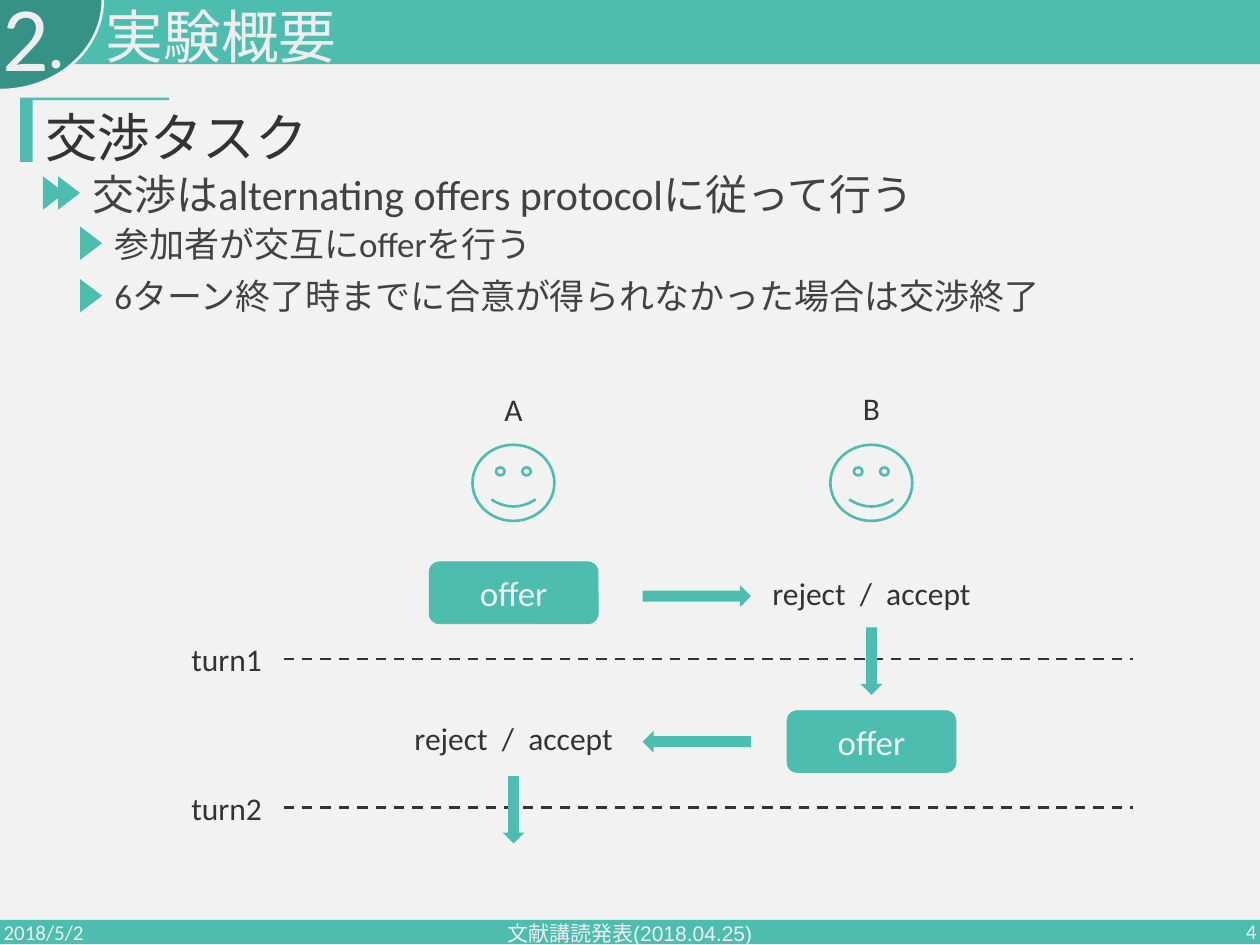
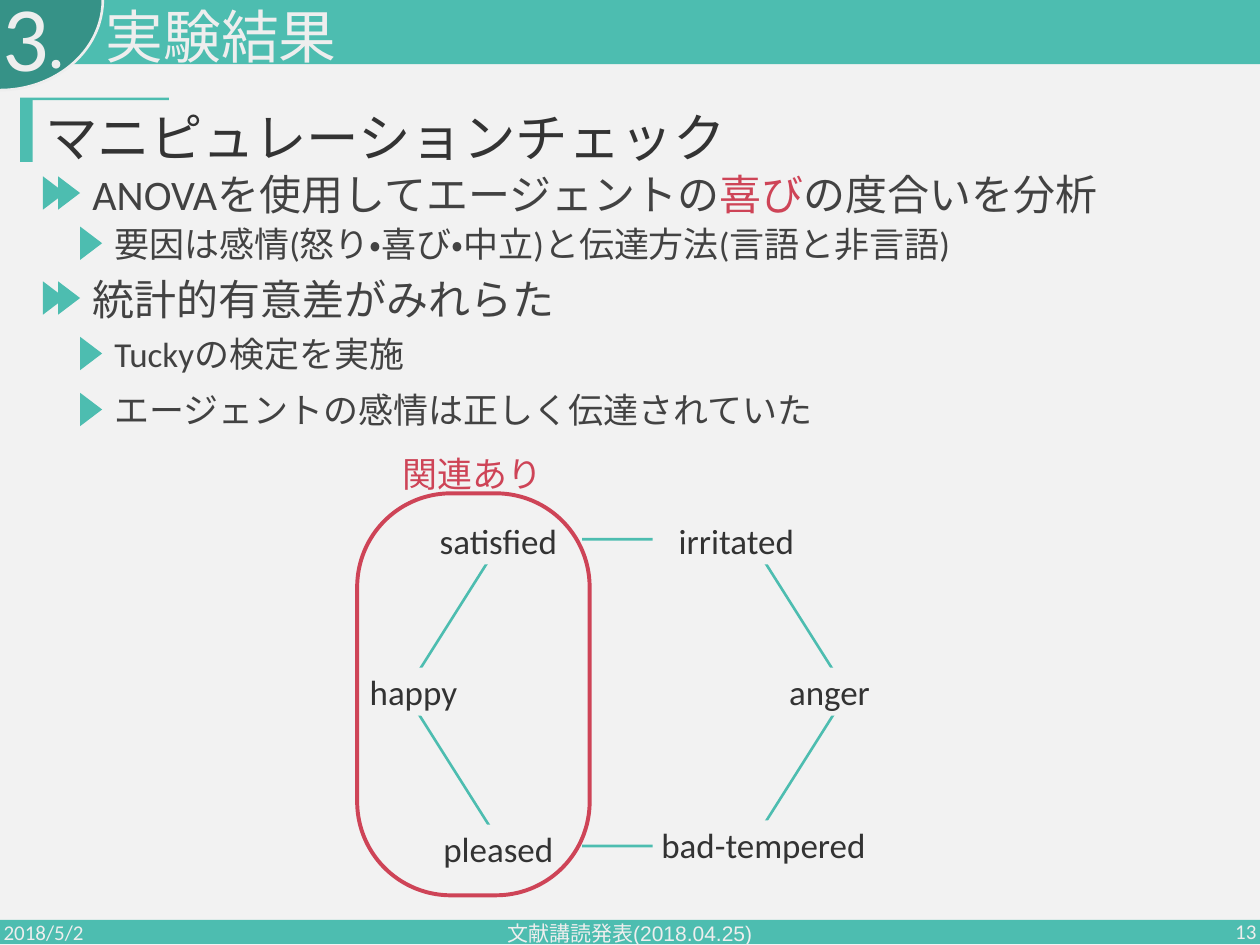
"""Build two slides on a negotiation experiment: the task and its manipulation check."""
import lxml.etree
import pptx
import pptx.dml.color
import pptx.enum.dml
import pptx.enum.lang
import pptx.enum.shapes
import pptx.enum.text
import pptx.oxml.ns
import pptx.util

Pt = pptx.util.Pt
SHAPE = pptx.enum.shapes.MSO_SHAPE
ALIGN = pptx.enum.text.PP_ALIGN
ANCHOR = pptx.enum.text.MSO_ANCHOR

COLORS = {
    "background": "F2F2F2",
    "teal": "4DBDB0",
    "dark_teal": "369287",
    "light": "EEEEEE",
    "text": "333333",
    "bullet": "424242",
    "red": "CE4457",
}
WIDTH, HEIGHT = 1440, 1080
DATE = "2018/5/2"
FOOTER = "文献講読発表(2018.04.25)"

TASK = {
    "number": "2",
    "section": "実験概要",
    "page": "4",
    "heading": "交渉タスク",
    "bullets": [
        (1, 196, ["交渉はalternating offers protocolに従って行う"]),
        (2, 256, ["参加者が交互にofferを行う"]),
        (2, 316, ["6ターン終了時までに合意が得られなかった場合は交渉終了"]),
    ],
}
CHECK = {
    "number": "3",
    "section": "実験結果",
    "page": "13",
    "heading": "マニピュレーションチェック",
    "bullets": [
        (1, 196, ["ANOVAを使用してエージェントの", ("喜び", "red"), "の度合いを分析"]),
        (2, 256, ["要因は感情(怒り・喜び・中立)と伝達方法(言語と非言語)"]),
        (1, 316, ["統計的有意差がみれらた"]),
        (2, 382, ["Tuckyの検定を実施"]),
        (2, 446, ["エージェントの感情は正しく伝達されていた"]),
    ],
}
BULLET_STYLES = {
    1: {"marks": (42.5, 59.8), "drop": 12, "box": (98.6, 1310, 78.5), "size": 48},
    2: {"marks": (85,), "drop": 9.4, "box": (123.8, 1271, 67), "size": 40},
}
PLAYERS = [("A", 587, 442), ("B", 996, 440.6)]
TURNS = [
    {"name": "turn1", "offer": 587, "reply": 996, "reply_top": 652.3, "rotation": 0},
    {"name": "turn2", "offer": 996, "reply": 587, "reply_top": 818.6, "rotation": 180},
]
TURN_TOP, TURN_STEP = 642.2, 170
EMOTIONS = [
    ("happy", 377, 763, 191, 55),
    ("anger", 852.5, 763, 191, 55),
    ("satisfied", 474, 590, 191, 55),
    ("pleased", 474, 942.5, 191, 55),
    ("irritated", 746, 590, 191, 55),
    ("bad-tempered", 746, 937.5, 253, 60),
]


def rgb(name):
    """Return the named colour."""
    return pptx.dml.color.RGBColor.from_string(COLORS[name])


def write(shape, text, size=36, color="text", font="Calibri", align=ALIGN.LEFT,
          anchor=ANCHOR.TOP, line_spacing=None, space_before=None):
    """Write a string, or a list of strings and (string, colour) pairs, in a shape."""
    frame = shape.text_frame
    frame.word_wrap = True
    frame.vertical_anchor = anchor
    paragraph = frame.paragraphs[0]
    paragraph.alignment = align
    paragraph.line_spacing = line_spacing
    paragraph.space_before = space_before
    for part in [text] if isinstance(text, str) else text:
        words, run_color = (part, color) if isinstance(part, str) else part
        run = paragraph.add_run()
        run.text = words
        run.font.name = font
        run.font.size = Pt(size)
        run.font.color.rgb = rgb(run_color)
        run.font.language_id = pptx.enum.lang.MSO_LANGUAGE_ID.JAPANESE


def add_label(slide, box, text, **text_format):
    """Add a text box."""
    write(slide.shapes.add_textbox(*map(Pt, box)), text, **text_format)


def add_body(slide, box, text, **text_format):
    """Add a text box with the spacing of body text."""
    add_label(slide, box, text, line_spacing=0.9, space_before=Pt(20), **text_format)


def add_shape(slide, kind, box, fill=None, line=None, weight=3, rotation=0, adjustment=None):
    """Add a preset shape without shadow."""
    shape = slide.shapes.add_shape(kind, *map(Pt, box))
    shape.shadow.inherit = False
    shape.rotation = rotation
    if adjustment is not None:
        shape.adjustments[0] = adjustment
    if fill:
        shape.fill.solid()
        shape.fill.fore_color.rgb = rgb(fill)
    else:
        shape.fill.background()
    if line:
        shape.line.color.rgb = rgb(line)
        shape.line.width = Pt(weight)
    else:
        shape.line.fill.background()
    return shape


def add_dashed_line(slide, left, right, y):
    """Add a horizontal dashed line."""
    connector = slide.shapes.add_connector(
        pptx.enum.shapes.MSO_CONNECTOR.STRAIGHT, Pt(left), Pt(y), Pt(right), Pt(y))
    connector.line.color.rgb = rgb("text")
    connector.line.width = Pt(3)
    connector.line.dash_style = pptx.enum.dml.MSO_LINE.DASH
    lxml.etree.SubElement(connector._element.spPr, pptx.oxml.ns.qn("a:effectLst"))


def add_slide(presentation, content):
    """Add a slide with its bands, footers, titles and bullets."""
    slide = presentation.slides.add_slide(presentation.slide_layouts[6])
    slide.background.fill.solid()
    slide.background.fill.fore_color.rgb = rgb("background")
    add_shape(slide, SHAPE.RECTANGLE, (0, 1051.2, WIDTH, 27.4), "teal")
    add_shape(slide, SHAPE.RECTANGLE, (0, 0, WIDTH, 73.4), "teal")
    add_shape(slide, SHAPE.ARC, (-103.5, -118, 206.6, 235.4), "dark_teal", "light", rotation=90)
    add_shape(slide, SHAPE.OVAL, (59, 68.4, 10, 10), "light")

    footers = [
        ((-3, 1036, 324, 57.6), DATE, "Calibri", ALIGN.LEFT),
        ((476.6, 1038.2, 486, 57.6), FOOTER, "Arial", ALIGN.CENTER),
        ((1119, 1035.4, 324, 57.6), content["page"], "Calibri", ALIGN.RIGHT),
    ]
    for box, text, font, align in footers:
        add_label(slide, box, text, size=24, color="light", font=font, align=align,
                  anchor=ANCHOR.MIDDLE)

    add_body(slide, (-4.3, -12.2, 507.6, 111.6), content["number"], size=105, color="light")
    add_body(slide, (113.8, 5.8, 1049, 62.6), content["section"], size=66, color="light")
    add_shape(slide, SHAPE.RECTANGLE, (23, 113.8, 14.4, 71.3), "teal")
    add_shape(slide, SHAPE.RECTANGLE, (23, 111.6, 170, 2.9), "teal")
    add_body(slide, (44.6, 124.6, 1362, 110), content["heading"], size=60)

    for level, top, text in content["bullets"]:
        style = BULLET_STYLES[level]
        for left in style["marks"]:
            add_shape(slide, SHAPE.ISOSCELES_TRIANGLE, (left, top + style["drop"], 38.2, 25.2),
                      "teal", rotation=90)
        left, width, height = style["box"]
        add_body(slide, (left, top, width, height), text, size=style["size"], color="bullet")
    return slide


def add_turns(slide):
    """Draw two players who make offers in turn."""
    for index, turn in enumerate(TURNS):
        top = TURN_TOP + index * TURN_STEP
        reply_top = turn["reply_top"]
        add_dashed_line(slide, 324, 1294.6, top + 110.9)
        add_label(slide, (188, top + 85.7, 142, 51), turn["name"], align=ALIGN.CENTER)
        offer = add_shape(slide, SHAPE.ROUNDED_RECTANGLE, (turn["offer"] - 96.5, top, 193, 70.6),
                          "teal", "teal", weight=1)
        write(offer, "offer", size=40, color="light", align=ALIGN.CENTER, anchor=ANCHOR.MIDDLE)
        add_label(slide, (turn["reply"] - 138, reply_top, 276, 51), "reject\u00a0 /\u00a0 accept"
                  .replace("\u00a0", " "), align=ALIGN.CENTER)
        add_shape(slide, SHAPE.RIGHT_ARROW, (734.4, reply_top + 16.4, 124, 25.2), "teal",
                  rotation=turn["rotation"])
        add_shape(slide, SHAPE.RIGHT_ARROW, (turn["reply"] - 38.5, top + 100.8, 77, 25.2), "teal",
                  rotation=90)
    for name, center, top in PLAYERS:
        add_label(slide, (center - 71, top, 142, 51), name, align=ALIGN.CENTER)
        add_shape(slide, SHAPE.SMILEY_FACE, (center - 47, 508.3, 93.6, 87), line="teal")


def add_emotions(slide):
    """Draw the hexagon of emotions and frame the related ones."""
    add_shape(slide, SHAPE.HEXAGON, (463, 616.3, 505.4, 350.6), "background", "teal",
              adjustment=0.316)
    for name, *box in EMOTIONS:
        node = add_shape(slide, SHAPE.RECTANGLE, box, "background")
        write(node, name, size=40, align=ALIGN.CENTER)
    add_shape(slide, SHAPE.ROUNDED_RECTANGLE, (408.2, 563.8, 265.7, 459.4), line="red",
              weight=4.5, adjustment=0.403)
    add_label(slide, (383, 513.4, 314.6, 55), "関連あり", size=40, color="red",
              align=ALIGN.CENTER)


def main():
    """Build and save the presentation."""
    presentation = pptx.Presentation()
    presentation.slide_width, presentation.slide_height = Pt(WIDTH), Pt(HEIGHT)
    add_turns(add_slide(presentation, TASK))
    add_emotions(add_slide(presentation, CHECK))
    presentation.save("out.pptx")


if __name__ == "__main__":
    main()
